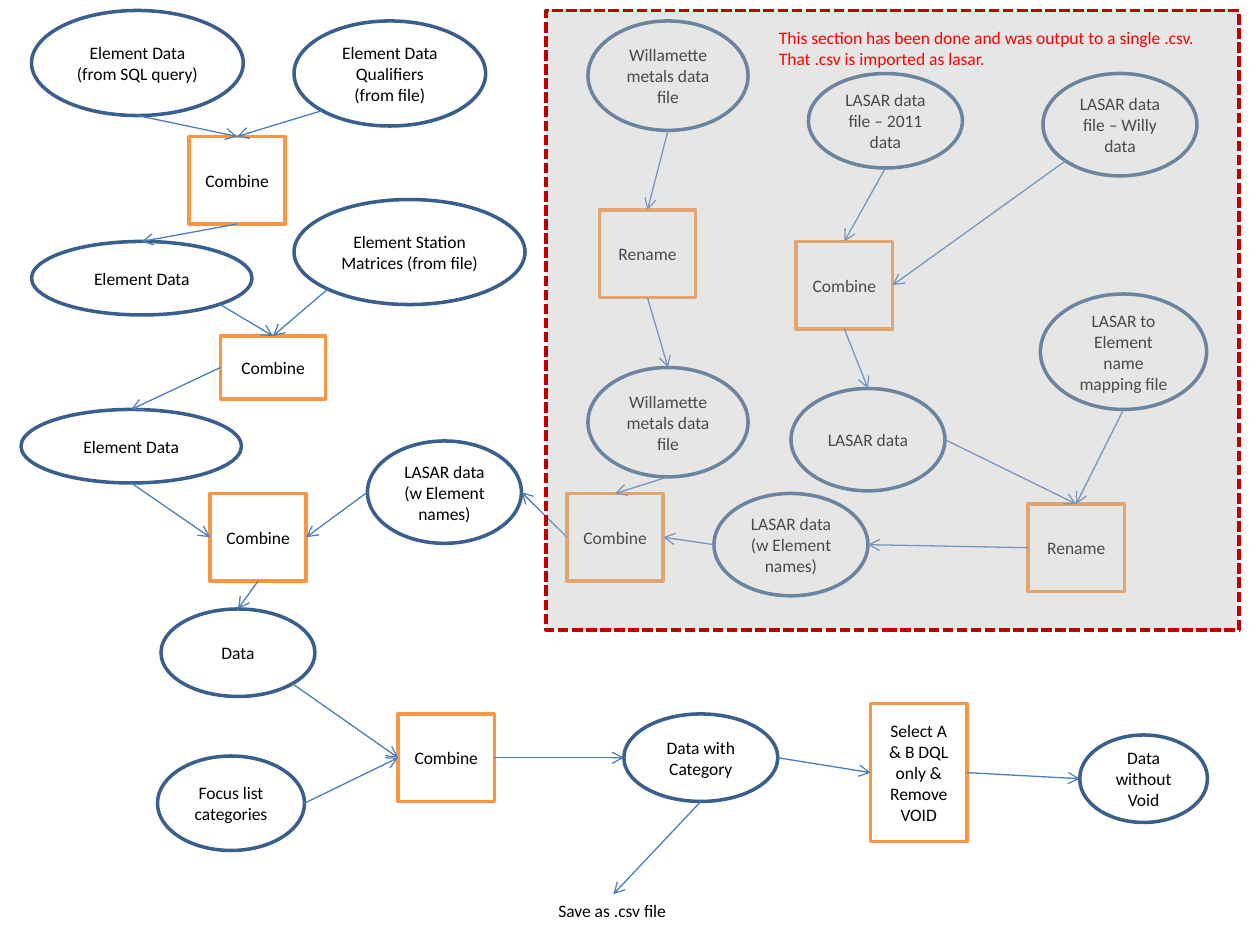
from lxml import etree
from pptx import Presentation
from pptx.dml.color import RGBColor
from pptx.enum.dml import MSO_LINE
from pptx.enum.shapes import MSO_CONNECTOR, MSO_SHAPE
from pptx.enum.text import MSO_ANCHOR, MSO_AUTO_SIZE, PP_ALIGN
from pptx.oxml.ns import qn
from pptx.util import Pt

OVAL, RECT = MSO_SHAPE.OVAL, MSO_SHAPE.RECTANGLE
STRAIGHT = MSO_CONNECTOR.STRAIGHT
DASH = MSO_LINE.SQUARE_DOT
MIDDLE, CENTER, LEFT = MSO_ANCHOR.MIDDLE, PP_ALIGN.CENTER, PP_ALIGN.LEFT
GROW = MSO_AUTO_SIZE.SHAPE_TO_FIT_TEXT

BLACK = RGBColor(0x00, 0x00, 0x00)
WHITE = RGBColor(0xFF, 0xFF, 0xFF)
RED = RGBColor(0xFF, 0x00, 0x00)
DARK_RED = RGBColor(0xC0, 0x00, 0x00)
GRAY = RGBColor(0xBF, 0xBF, 0xBF)
NAVY = RGBColor(0x3A, 0x5F, 0x8C)
BLUE = RGBColor(0x4B, 0x7E, 0xBC)
ORANGE = RGBColor(0xF7, 0x96, 0x46)

DIAGONAL = 0.5 ** 1.5
SIDES = {
    "top": (0.5, 0), "bottom": (0.5, 1), "left": (0, 0.5), "right": (1, 0.5),
    "lower left": (0.5 - DIAGONAL, 0.5 + DIAGONAL),
    "lower right": (0.5 + DIAGONAL, 0.5 + DIAGONAL),
}


class Flowchart:
    font = {"name": "Calibri", "size": Pt(10)}

    def __init__(self, page):
        self.page = page
        self.boxes = {}

    def fill_text(self, frame, lines, color, align):
        for index, line in enumerate(lines):
            para = frame.add_paragraph() if index else frame.paragraphs[0]
            para.alignment = align
            span = para.add_run()
            span.text = line
            for key, value in self.font.items():
                setattr(span.font, key, value)
            span.font.color.rgb = color

    def shape(self, kind, place, fill, color):
        box = self.page.shapes.add_shape(kind, *map(Pt, place))
        box.shadow.inherit = False
        if fill is None:
            box.fill.background()
        else:
            box.fill.solid()
            box.fill.fore_color.rgb = fill
        box.line.color.rgb = color
        box.line.width = Pt(2)
        return box

    def node(self, name, text, place, kind, fill, color):
        box = self.shape(kind, place, fill, color)
        box.text_frame.vertical_anchor = MIDDLE
        self.fill_text(box.text_frame, [text], BLACK, CENTER)
        self.boxes[name] = place

    def data(self, name, text, left, top, width=88, height=58.5):
        self.node(name, text, (left, top, width, height), OVAL, None, NAVY)

    def step(self, name, text, left, top, width=55, height=50):
        self.node(name, text, (left, top, width, height), RECT, WHITE, ORANGE)

    def point(self, name, side):
        left, top, width, height = self.boxes[name]
        across, down = SIDES[side]
        return Pt(left + across * width), Pt(top + down * height)

    def arrow(self, source, source_side, target, target_side):
        start = self.point(source, source_side)
        end = self.point(target, target_side)
        line = self.page.shapes.add_connector(STRAIGHT, *start, *end)
        line.line.color.rgb = BLUE
        line.line.width = Pt(0.75)
        outline = line._element.spPr.find(qn("a:ln"))
        etree.SubElement(outline, qn("a:tailEnd"), type="arrow")
        etree.SubElement(line._element.spPr, qn("a:effectLst"))

    def shade(self, place, opacity):
        box = self.shape(RECT, place, GRAY, DARK_RED)
        box.line.dash_style = DASH
        color = box._element.spPr.find(qn("a:solidFill"))[0]
        etree.SubElement(color, qn("a:alpha"), val=str(opacity * 1000))

    def note(self, name, lines, place, color):
        box = self.page.shapes.add_textbox(*map(Pt, place))
        box.text_frame.word_wrap = False
        box.text_frame.auto_size = GROW
        self.fill_text(box.text_frame, lines, color, LEFT)
        self.boxes[name] = place


deck = Presentation()
deck.slide_width, deck.slide_height = Pt(720), Pt(540)
chart = Flowchart(deck.slides.add_slide(deck.slide_layouts[6]))

NAMED = "LASAR data (w Element names)"
METALS = "Willamette metals data file"

DATA = [
    ("query", "Element Data (from SQL query)", 18, 6, 121, 60),
    ("qualifiers", "Element Data Qualifiers (from file)", 168, 12, 109.5, 60),
    ("qualified", "Element Data", 18, 138, 126, 42),
    ("stations", "Element Station Matrices (from file)", 168, 114, 132, 60),
    ("located", "Element Data", 12, 234, 126, 42),
    ("lasar ready", NAMED, 210, 252),
    ("all data", "Data", 92, 348, 88, 50),
    ("focus list", "Focus list categories", 90, 432, 84, 54),
    ("categorized", "Data with Category", 356.5, 408, 88, 50),
    ("final", "Data without Void", 617, 420, 73, 50),
    ("metals", METALS, 336, 12, 91.5, 62.5),
    ("metals renamed", METALS, 336, 210, 91.5, 62.5),
    ("lasar 2011", "LASAR data file \u2013 2011 data", 462, 42, 88, 54),
    ("lasar willy", "LASAR data file \u2013 Willy data", 596, 42),
    ("lasar", "LASAR data", 452, 222),
    ("mapping", "LASAR to Element name mapping file", 594.5, 168, 95, 66),
    ("lasar renamed", NAMED, 408, 282),
]
STEPS = [
    ("add qualifiers", "Combine", 108, 78),
    ("add stations", "Combine", 126, 192, 60, 36),
    ("add lasar", "Combine", 120, 282),
    ("add category", "Combine", 227.5, 408),
    ("select", "Select A & B DQL only & Remove VOID", 497.5, 402, 55, 79),
    ("rename metals", "Rename", 342.5, 120),
    ("merge lasar", "Combine", 455, 138),
    ("rename lasar", "Rename", 587.5, 288),
    ("merge metals", "Combine", 324, 282),
]
ARROWS = [
    ("query", "bottom", "add qualifiers", "top"),
    ("qualifiers", "lower left", "add qualifiers", "top"),
    ("add qualifiers", "bottom", "qualified", "top"),
    ("qualified", "lower right", "add stations", "top"),
    ("stations", "lower left", "add stations", "top"),
    ("add stations", "left", "located", "top"),
    ("located", "bottom", "add lasar", "left"),
    ("lasar ready", "left", "add lasar", "right"),
    ("add lasar", "bottom", "all data", "top"),
    ("all data", "lower right", "add category", "left"),
    ("focus list", "right", "add category", "left"),
    ("add category", "right", "categorized", "left"),
    ("categorized", "right", "select", "left"),
    ("categorized", "bottom", "save", "top"),
    ("select", "right", "final", "left"),
    ("metals", "bottom", "rename metals", "top"),
    ("rename metals", "bottom", "metals renamed", "top"),
    ("metals renamed", "bottom", "merge metals", "top"),
    ("lasar 2011", "bottom", "merge lasar", "top"),
    ("lasar willy", "lower left", "merge lasar", "right"),
    ("merge lasar", "bottom", "lasar", "top"),
    ("lasar", "right", "rename lasar", "top"),
    ("mapping", "bottom", "rename lasar", "top"),
    ("rename lasar", "left", "lasar renamed", "right"),
    ("lasar renamed", "left", "merge metals", "right"),
    ("merge metals", "left", "lasar ready", "right"),
]

for item in DATA:
    chart.data(*item)
for item in STEPS:
    chart.step(*item)
chart.note("save", ["Save as .csv file"], (312, 511, 77, 19.5), BLACK)
for item in ARROWS:
    chart.arrow(*item)
chart.shade((312, 6, 396, 354), 39)
chart.note("done", [
    "This section has been done and was output to a single .csv.",
    "That .csv is imported as lasar.",
], (438, 12, 258, 31.5), RED)

deck.save("out.pptx")
